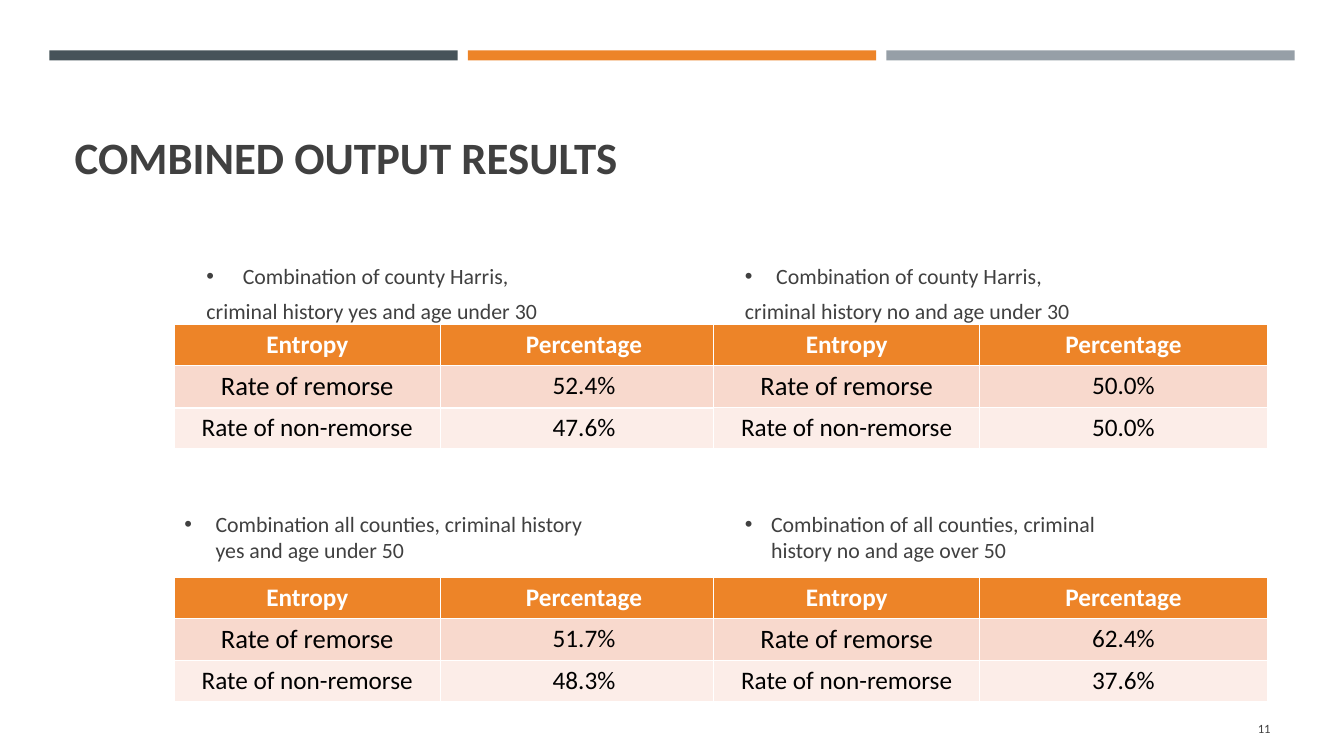
from lxml.etree import SubElement
from pptx import Presentation
from pptx.dml.color import RGBColor
from pptx.enum.shapes import MSO_SHAPE
from pptx.enum.text import MSO_ANCHOR, MSO_AUTO_SIZE, PP_ALIGN
from pptx.oxml.ns import qn
from pptx.util import Emu, Inches, Pt

FONT = "Calibri"
INK, BLACK, WHITE = "404040", "000000", "FFFFFF"
BAR_COLORS = ["465359", "ED8428", "969FA7"]
ROW_FILLS = ["ED8428", "F8D9CD", "FCEDE8"]

TABLE_LEFTS = [1.73, 7.08]
TABLE_TOPS = [3.22, 5.73]
TABLE_WIDTH, TABLE_HEIGHT = 5.49, 1.22
ENTROPY_SHARE = 0.48

# Per panel: caption box, indent, caption paragraphs, remorse and non-remorse rates
PANELS = [
    ((1.95, 2.56, 4.3, 0.71), 0.36,
     ["Combination of county Harris,", "criminal history yes and age under 30"],
     "52.4%", "47.6%"),
    ((7.29, 2.56, 4.09, 0.71), 0.31,
     ["Combination of county Harris,", "criminal history no and age under 30"],
     "50.0%", "50.0%"),
    ((1.73, 5.02, 4.27, 0.63), 0.31,
     ["Combination all counties, criminal history yes and age under 50"],
     "51.7%", "48.3%"),
    ((7.29, 5.02, 4.2, 0.63), 0.26,
     ["Combination of all counties, criminal history no and age over 50"],
     "62.4%", "37.6%"),
]


def rgb(color):
    return RGBColor.from_string(color)


def inches(box):
    return [Inches(length) for length in box]


def style(paragraph, size, color, bold=False, align=PP_ALIGN.LEFT):
    paragraph.alignment = align
    for run in paragraph.runs:
        run.font.name = FONT
        run.font.size = Pt(size)
        run.font.bold = bold
        run.font.color.rgb = rgb(color)


def add_bullet(paragraph, indent):
    """Give the paragraph a hanging bullet."""
    properties = paragraph._p.get_or_add_pPr()
    properties.set("marL", str(Inches(indent)))
    properties.set("indent", str(-Inches(indent)))
    SubElement(properties, qn("a:buFont"), typeface="Arial")
    SubElement(properties, qn("a:buChar"), char="•")


def add_top_bars(slide, left, top, width, height, gap=0.1):
    bar_width = (width - gap * (len(BAR_COLORS) - 1)) / len(BAR_COLORS)
    for index, color in enumerate(BAR_COLORS):
        bar_left = left + index * (bar_width + gap)
        bar = slide.shapes.add_shape(
            MSO_SHAPE.RECTANGLE, *inches((bar_left, top, bar_width, height)))
        bar.shadow.inherit = False
        bar.fill.solid()
        bar.fill.fore_color.rgb = rgb(color)
        bar.line.fill.background()


def set_title(slide, text, box):
    title = slide.shapes.title
    title.left, title.top, title.width, title.height = inches(box)
    frame = title.text_frame
    frame.text = text
    frame.auto_size = MSO_AUTO_SIZE.NONE
    frame.vertical_anchor = MSO_ANCHOR.BOTTOM
    style(frame.paragraphs[0], 32, INK, bold=True)


def add_caption(slide, box, indent, lines):
    frame = slide.shapes.add_textbox(*inches(box)).text_frame
    frame.word_wrap = True
    frame.text = "\n".join(lines)
    for index, paragraph in enumerate(frame.paragraphs):
        paragraph.space_after = Pt(6)
        if index == 0:
            add_bullet(paragraph, indent)
        style(paragraph, 15.6, INK)


def add_rate_table(slide, box, remorse, non_remorse):
    rows = [("Entropy", "Percentage"),
            ("Rate of remorse", remorse),
            ("Rate of non-remorse", non_remorse)]
    left, top, width, height = inches(box)
    table = slide.shapes.add_table(len(rows), 2, left, top, width, height).table
    table.columns[0].width = Emu(int(width * ENTROPY_SHARE))
    table.columns[1].width = width - table.columns[0].width
    for row, texts in enumerate(rows):
        for column, text in enumerate(texts):
            cell = table.cell(row, column)
            cell.fill.solid()
            cell.fill.fore_color.rgb = rgb(ROW_FILLS[row])
            cell.text_frame.text = text
            style(cell.text_frame.paragraphs[0],
                  19 if (row, column) == (1, 0) else 18,
                  WHITE if row == 0 else BLACK,
                  bold=row == 0, align=PP_ALIGN.CENTER)


def add_page_number(slide, number, box):
    frame = slide.shapes.add_textbox(*inches(box)).text_frame
    frame.word_wrap = True
    frame.vertical_anchor = MSO_ANCHOR.MIDDLE
    frame.text = str(number)
    style(frame.paragraphs[0], 9, INK, align=PP_ALIGN.RIGHT)


def main():
    deck = Presentation()
    deck.slide_width, deck.slide_height = inches((13.33, 7.5))
    slide = deck.slides.add_slide(deck.slide_layouts[5])

    add_top_bars(slide, 0.49, 0.5, 12.35, 0.1)
    set_title(slide, "COMBINED OUTPUT RESULTS", (0.64, 0.77, 12.06, 1.1))
    for index, (caption_box, indent, lines, *rates) in enumerate(PANELS):
        row, column = divmod(index, 2)
        table_box = (TABLE_LEFTS[column], TABLE_TOPS[row], TABLE_WIDTH, TABLE_HEIGHT)
        add_rate_table(slide, table_box, *rates)
        add_caption(slide, caption_box, indent, lines)
    add_page_number(slide, 11, (11.55, 7.03, 1.15, 0.4))

    deck.save("out.pptx")


if __name__ == "__main__":
    main()
